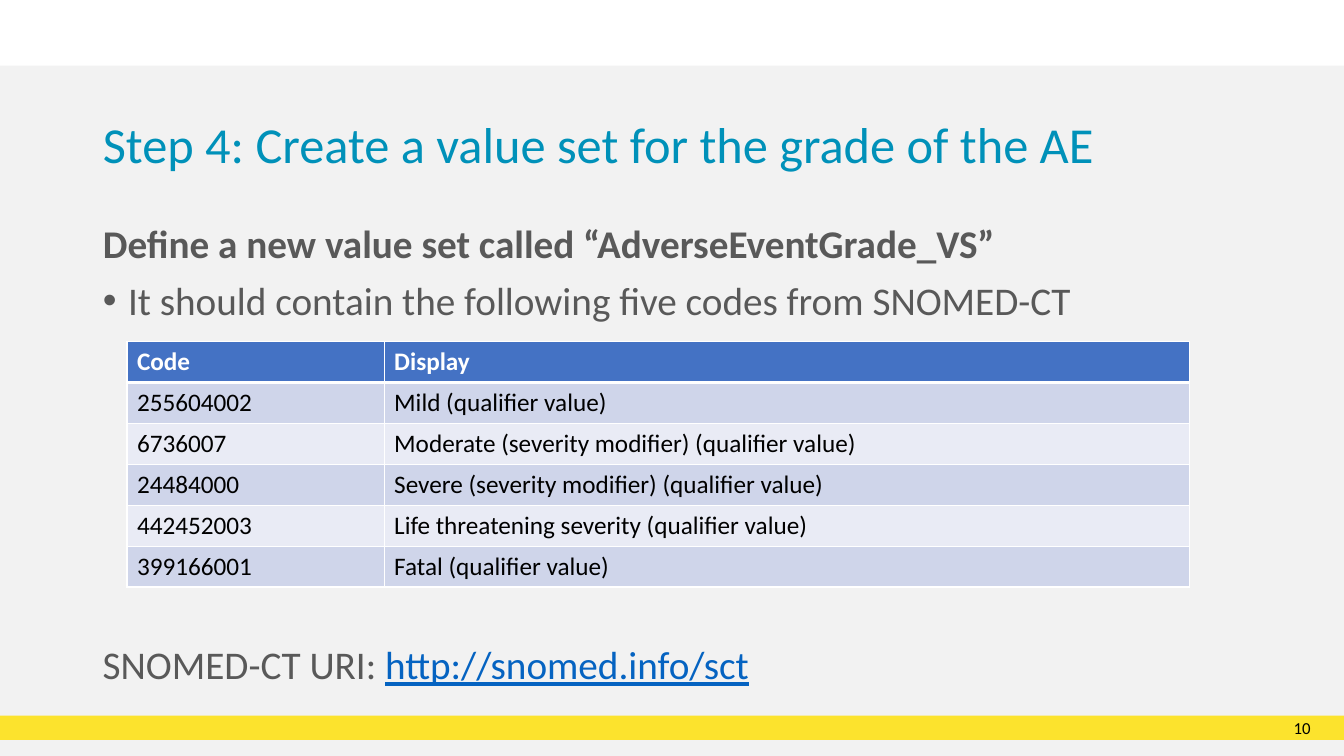
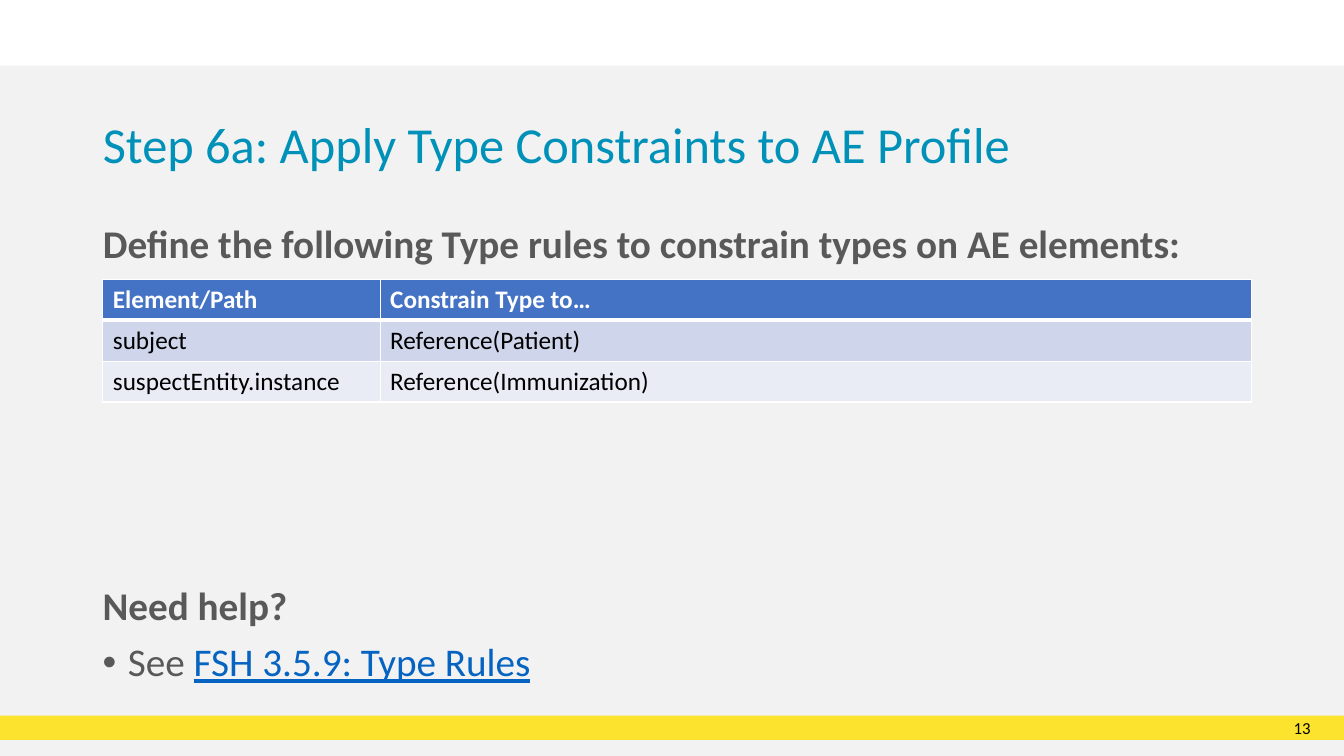
from lxml.etree import SubElement
from pptx import Presentation
from pptx.dml.color import RGBColor
from pptx.enum.shapes import MSO_SHAPE
from pptx.enum.text import MSO_ANCHOR, MSO_AUTO_SIZE, PP_ALIGN
from pptx.oxml.ns import qn
from pptx.util import Inches, Pt

FONT = "Calibri"
WHITE, BLACK = "FFFFFF", "000000"
PAGE_GREY, YELLOW = "F2F2F2", "FCE32D"
TITLE_BLUE, TEXT_GREY, LINK_BLUE = "0091B9", "595959", "0563C1"
HEADER_FILL, ROW_FILLS = "4472C4", ("CFD5EA", "E9EBF5")
WIDTH, HEIGHT = 13.33, 7.5
LEFT, BODY_WIDTH = 0.92, 11.86
BAND_TOP = 7.1


def color(value):
    return RGBColor.from_string(value)


def place(shape, box):
    shape.left, shape.top, shape.width, shape.height = map(Inches, box)


def add_run(paragraph, text, size, ink, bold=False, underline=False):
    run = paragraph.add_run()
    run.text = text
    font = run.font
    font.name, font.size = FONT, Pt(size)
    font.bold, font.underline = bold, underline
    font.color.rgb = color(ink)


def set_bullet(paragraph, bulleted):
    properties = paragraph._p.get_or_add_pPr()
    indent = Inches(0.25) if bulleted else 0
    properties.set("marL", str(indent))
    properties.set("indent", str(-indent))
    if bulleted:
        SubElement(properties, qn("a:buFont"), typeface="Arial")
        SubElement(properties, qn("a:buChar"), char="•")
    else:
        SubElement(properties, qn("a:buNone"))


def prepare_frame(shape, anchor=MSO_ANCHOR.TOP):
    frame = shape.text_frame
    frame.word_wrap = True
    frame.auto_size = MSO_AUTO_SIZE.NONE
    frame.vertical_anchor = anchor
    return frame


def fill_text(shape, box, lines):
    place(shape, box)
    frame = prepare_frame(shape)
    for index, (style, text, link) in enumerate(lines):
        paragraph = frame.add_paragraph() if index else frame.paragraphs[0]
        paragraph.line_spacing = 0.9
        paragraph.space_before = Pt(10)
        set_bullet(paragraph, style == "bullet")
        add_run(paragraph, text, 28, TEXT_GREY, bold=style == "heading")
        if link:
            add_run(paragraph, link, 28, LINK_BLUE, underline=True)


def add_bands(slide):
    layout_tree = slide.slide_layout.shapes._spTree
    bands = ((0.65, HEIGHT - 0.65, PAGE_GREY), (BAND_TOP, 0.24, YELLOW))
    for index, (top, height, fill) in enumerate(bands):
        band = slide.shapes.add_shape(
            MSO_SHAPE.RECTANGLE, 0, Inches(top), Inches(WIDTH), Inches(height)
        )
        band.shadow.inherit = False
        band.fill.solid()
        band.fill.fore_color.rgb = color(fill)
        band.line.fill.background()
        layout_tree.insert(2 + index, band._element)


def add_page_number(slide, number):
    box = map(Inches, (12.55, BAND_TOP, 0.45, 0.24))
    frame = prepare_frame(slide.shapes.add_textbox(*box), MSO_ANCHOR.MIDDLE)
    frame.margin_left = frame.margin_right = 0
    frame.margin_top = frame.margin_bottom = 0
    paragraph = frame.paragraphs[0]
    paragraph.alignment = PP_ALIGN.RIGHT
    add_run(paragraph, str(number), 12, BLACK)


def set_title(slide, text):
    title = slide.shapes.title
    place(title, (LEFT, 1.14, 11.5, 0.97))
    paragraph = prepare_frame(title).paragraphs[0]
    paragraph.alignment = PP_ALIGN.LEFT
    paragraph.line_spacing = 0.9
    add_run(paragraph, text, 36, TITLE_BLUE)


def set_borders(cell, bottom_width):
    properties = cell._tc.get_or_add_tcPr()
    widths = {"a:lnL": 1, "a:lnR": 1, "a:lnT": 1, "a:lnB": bottom_width}
    for index, (side, width) in enumerate(widths.items()):
        line = SubElement(properties, qn(side), w=str(Pt(width)))
        fill = SubElement(line, qn("a:solidFill"))
        SubElement(fill, qn("a:srgbClr"), val=WHITE)
        properties.insert(index, line)


def add_code_table(slide, box, first_column, rows):
    left, top, width, height = map(Inches, box)
    frame = slide.shapes.add_table(len(rows), 2, left, top, width, height)
    table = frame.table
    table.columns[0].width = Inches(first_column)
    table.columns[1].width = width - Inches(first_column)
    for row_index, row in enumerate(rows):
        header = row_index == 0
        fill = HEADER_FILL if header else ROW_FILLS[(row_index - 1) % 2]
        for column_index, text in enumerate(row):
            cell = table.cell(row_index, column_index)
            cell.fill.solid()
            cell.fill.fore_color.rgb = color(fill)
            set_borders(cell, 3 if header else 1)
            paragraph = cell.text_frame.paragraphs[0]
            add_run(paragraph, text, 18, WHITE if header else BLACK, bold=header)


def add_step_slide(presentation, step):
    slide = presentation.slides.add_slide(presentation.slide_layouts[1])
    add_page_number(slide, step["number"])
    set_title(slide, step["title"])
    body_box = (LEFT, 2.18, BODY_WIDTH, step["body_height"])
    fill_text(slide.placeholders[1], body_box, step["body"])
    add_code_table(slide, step["table_box"], step["first_column"], step["rows"])
    note_height = step["note_height"]
    note_box = (LEFT, 6.99 - note_height, BODY_WIDTH, note_height)
    note = slide.shapes.add_textbox(0, 0, 0, 0)
    fill_text(note, note_box, step["note"])
    return slide


STEPS = [
    {
        "number": 10,
        "title": "Step 4: Create a value set for the grade of the AE",
        "body_height": 1.18,
        "body": [
            ("heading", "Define a new value set called “AdverseEventGrade_VS”", ""),
            ("bullet", "It should contain the following five codes from SNOMED-CT", ""),
        ],
        "table_box": (1.26, 3.39, 10.54, 2.43),
        "first_column": 2.55,
        "rows": [
            ("Code", "Display"),
            ("255604002", "Mild (qualifier value)"),
            ("6736007", "Moderate (severity modifier) (qualifier value)"),
            ("24484000", "Severe (severity modifier) (qualifier value)"),
            ("442452003", "Life threatening severity (qualifier value)"),
            ("399166001", "Fatal (qualifier value)"),
        ],
        "note_height": 0.63,
        "note": [("plain", "SNOMED-CT URI: ", "http://snomed.info/sct")],
    },
    {
        "number": 13,
        "title": "Step 6a: Apply Type Constraints to AE Profile",
        "body_height": 0.59,
        "body": [
            (
                "heading",
                "Define the following Type rules to constrain types on AE elements:",
                "",
            ),
        ],
        "table_box": (1.02, 2.77, 11.39, 1.22),
        "first_column": 2.75,
        "rows": [
            ("Element/Path", "Constrain Type to…"),
            ("subject", "Reference(Patient)"),
            ("suspectEntity.instance", "Reference(Immunization)"),
        ],
        "note_height": 1.22,
        "note": [
            ("heading", "Need help?", ""),
            ("bullet", "See ", "FSH 3.5.9: Type Rules"),
        ],
    },
]


def main():
    presentation = Presentation()
    presentation.slide_width = Inches(WIDTH)
    presentation.slide_height = Inches(HEIGHT)
    slides = [add_step_slide(presentation, step) for step in STEPS]
    add_bands(slides[0])
    presentation.save("out.pptx")


if __name__ == "__main__":
    main()
